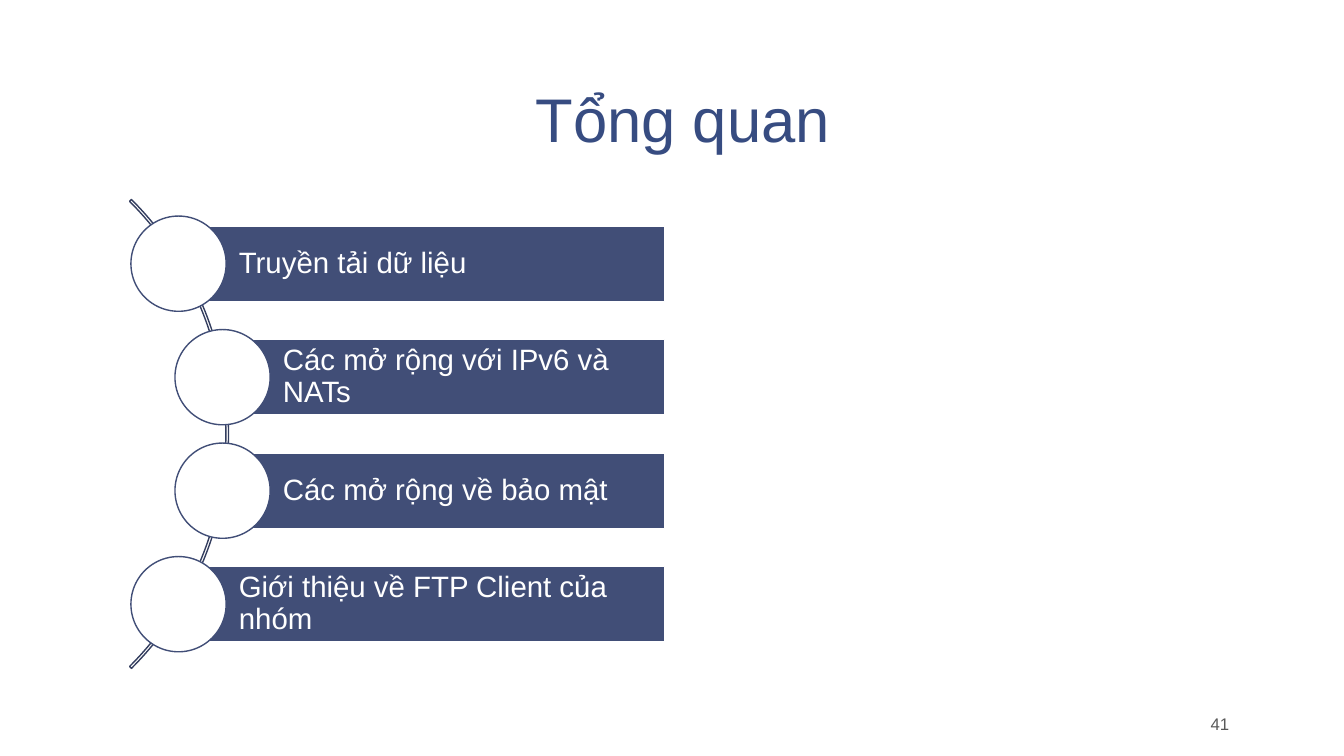
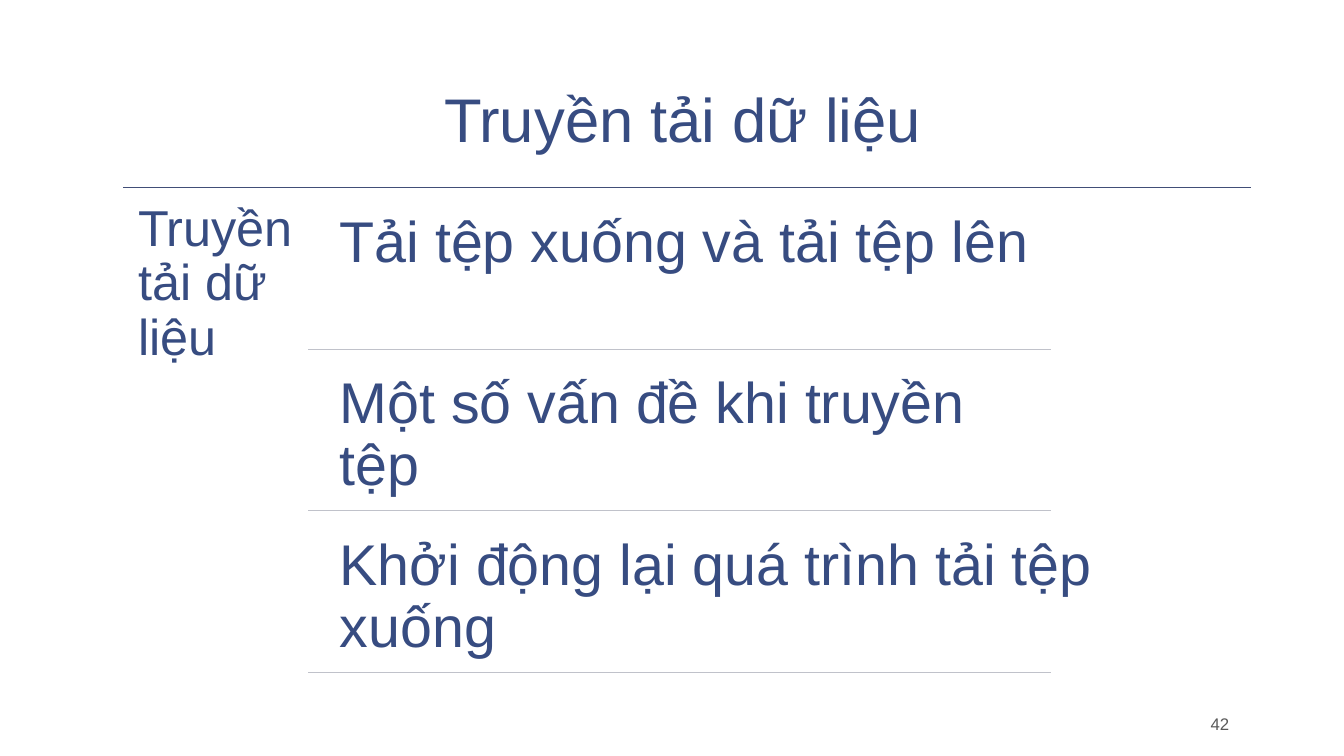
from lxml import etree
from pptx import Presentation
from pptx.dml.color import RGBColor
from pptx.enum import shapes, text
from pptx.oxml.ns import qn
from pptx.util import Cm, Pt

NAVY = RGBColor(0x37, 0x4C, 0x81)
BAR = RGBColor(0x41, 0x4E, 0x77)
ARC = RGBColor(0x34, 0x3E, 0x5F)
RULE = RGBColor(0xC0, 0xC2, 0xCA)
GREY = RGBColor(0x59, 0x59, 0x59)
WHITE = RGBColor(0xFF, 0xFF, 0xFF)
FONT = "Arial"
LEFT, TOP = text.PP_ALIGN.LEFT, text.MSO_ANCHOR.TOP
MIDDLE, BOTTOM = text.MSO_ANCHOR.MIDDLE, text.MSO_ANCHOR.BOTTOM


def write(sp, words, size, color, insets, anchor=TOP, align=LEFT, spacing=0.9):
    """Fill a shape with one formatted paragraph; insets are in cm."""
    tf = sp.text_frame
    tf.word_wrap = True
    tf.auto_size = text.MSO_AUTO_SIZE.NONE
    tf.vertical_anchor = anchor
    tf.margin_left, tf.margin_top, tf.margin_right, tf.margin_bottom = map(Cm, insets)
    p = tf.paragraphs[0]
    p.text = words
    p.alignment = align
    p.line_spacing = spacing
    p.font.name, p.font.size, p.font.color.rgb = FONT, Pt(size), color


def add_text(s, box, *args, **kwargs):
    write(s.shapes.add_textbox(*map(Cm, box)), *args, **kwargs)


def add_shape(s, kind, box, fill, line):
    sp = s.shapes.add_shape(kind, *map(Cm, box))
    sp.shadow.inherit = False
    if fill is None:
        sp.fill.background()
    else:
        sp.fill.solid()
        sp.fill.fore_color.rgb = fill
    sp.line.color.rgb = line
    sp.line.width = Pt(1)
    return sp


def add_rule(s, left, right, y, color):
    line = s.shapes.add_connector(shapes.MSO_CONNECTOR.STRAIGHT,
                                  Cm(left), Cm(y), Cm(right), Cm(y))
    line.line.color.rgb = color
    line.line.width = Pt(1)
    etree.SubElement(line._element.spPr, qn("a:effectLst"))


def add_slide(prs, title, number):
    """Slide with the shared title style and page number."""
    s = prs.slides.add_slide(prs.slide_layouts[5])
    sp = s.shapes.title
    sp.left, sp.top, sp.width, sp.height = Cm(3.1), Cm(0.2), Cm(28.22), Cm(3.89)
    insets = (0.33, 0.18, 0.33, 0.18)
    write(sp, title, 44, NAVY, insets, BOTTOM, text.PP_ALIGN.CENTER, 0.85)
    add_text(s, (28.24, 17.78, 3.07, 0.89), str(number), 12, GREY, insets,
             BOTTOM, text.PP_ALIGN.RIGHT, 1.0)
    return s


def add_curved_list(s, box, items):
    """Bars headed by circles that follow an arc."""
    left, top, width, height = box
    diameter, bar_height, pitch, bulge = 2.4, 1.9, 2.86, 1.11
    middle = top + height / 2

    # Arc behind the bars
    size = 16.71
    arc = add_shape(s, shapes.MSO_SHAPE.BLOCK_ARC,
                    (left - 14.25, middle - size / 2, size, size), None, ARC)
    for i, value in enumerate((189, 27, 0.004)):
        arc.adjustments[i] = value

    # One bar and circle per item; inner items sit further right
    for i, item in enumerate(items):
        x = left + (bulge if 0 < i < len(items) - 1 else 0)
        y = middle + (i - (len(items) - 1) / 2) * pitch
        bar_left = x + diameter / 2
        bar = add_shape(s, shapes.MSO_SHAPE.RECTANGLE,
                        (bar_left, y - bar_height / 2, left + width - bar_left, bar_height),
                        BAR, WHITE)
        write(bar, item, 21, WHITE, (1.52, 0.15, 0.15, 0.15), MIDDLE)
        add_shape(s, shapes.MSO_SHAPE.OVAL,
                  (x, y - diameter / 2, diameter, diameter), WHITE, BAR)


def add_lined_list(s, box, heading, items):
    """Heading on the left, (text, width) items with rules on the right."""
    left, top, width, height = box
    heading_width, pitch, gap = 4.67, 4.07, 0.2
    add_rule(s, left, left + width, top, BAR)
    add_text(s, (left, top, heading_width, height), heading, 36, NAVY, (0.38,) * 4)
    x = left + heading_width
    for i, (item, item_width) in enumerate(items):
        y = top + i * pitch
        add_text(s, (x + 0.36, y + gap, item_width, pitch - gap), item, 41, NAVY,
                 (0.43,) * 4)
        add_rule(s, x, x + 18.72, y + pitch, RULE)


def main():
    prs = Presentation()
    prs.slide_width, prs.slide_height = Cm(33.87), Cm(19.05)

    s = add_slide(prs, "Tổng quan", 41)
    add_curved_list(s, (3.3, 5, 13.45, 11.87), [
        "Truyền tải dữ liệu",
        "Các mở rộng với IPv6 và NATs",
        "Các mở rộng về bảo mật",
        "Giới thiệu về FTP Client của nhóm",
    ])

    s = add_slide(prs, "Truyền tải dữ liệu", 42)
    add_lined_list(s, (3.1, 4.73, 28.42, 12.42), "Truyền tải dữ liệu", [
        ("Tải tệp xuống và tải tệp lên", 18.34),
        ("Một số vấn đề khi truyền tệp", 18.34),
        ("Khởi động lại quá trình tải tệp xuống", 23.37),
    ])

    prs.save("out.pptx")


if __name__ == "__main__":
    main()
